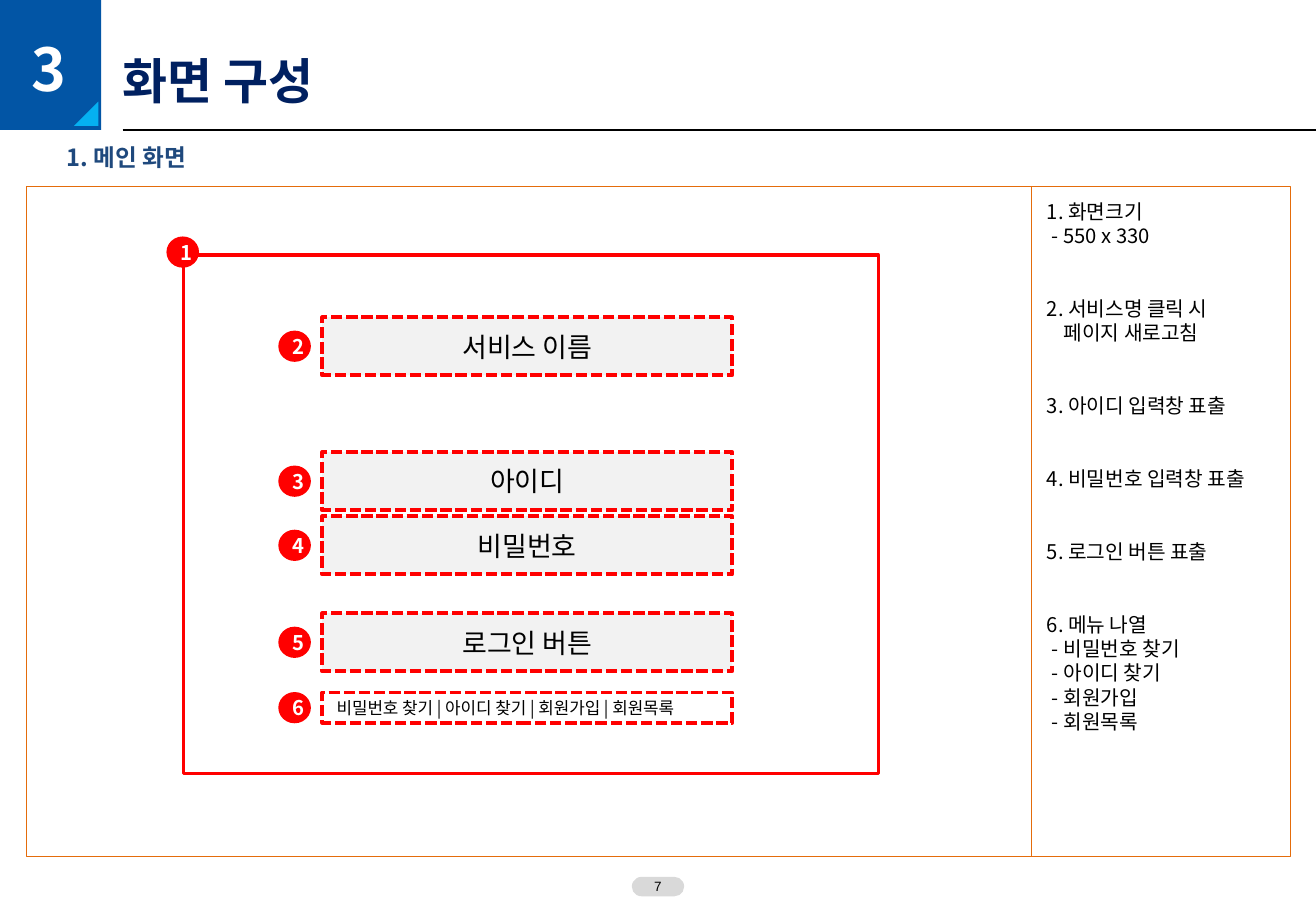
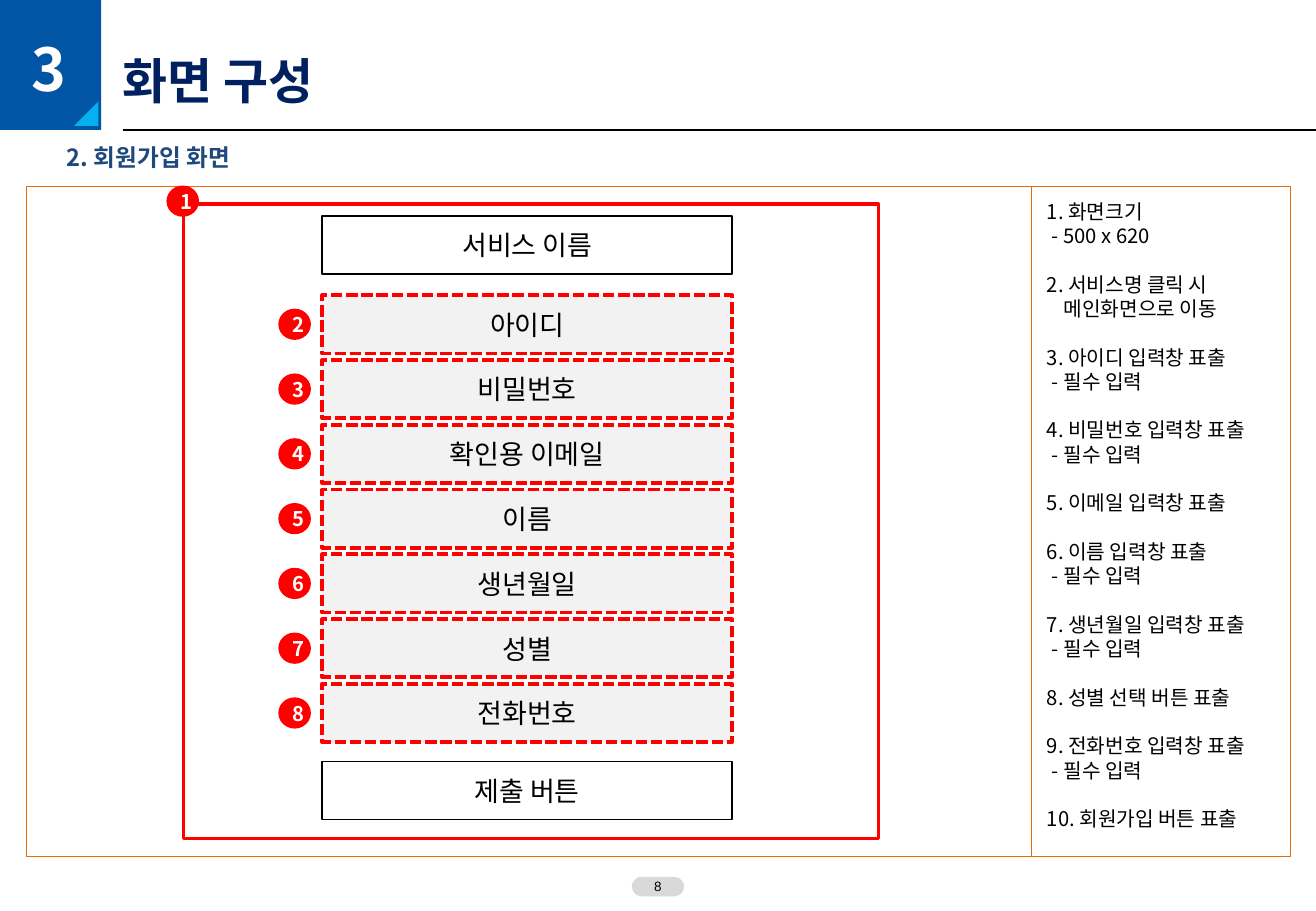
import dataclasses

import lxml.etree
import pptx
import pptx.dml.color
import pptx.enum.dml
import pptx.enum.shapes
import pptx.enum.text
import pptx.oxml.ns
import pptx.util

Pt = pptx.util.Pt
SHAPE = pptx.enum.shapes.MSO_SHAPE
ALIGN = pptx.enum.text.PP_ALIGN
ANCHOR = pptx.enum.text.MSO_ANCHOR


@dataclasses.dataclass(frozen=True)
class Theme:
    latin: str = "Arial"
    korean: str = "Noto Sans CJK KR"
    title: str = "002060"
    heading: str = "1F497D"
    band: str = "0255A5"
    accent: str = "05B0F1"
    panel: str = "E46C0B"
    mark: str = "FF0000"
    field: str = "F2F2F2"
    pill: str = "D9D9D9"
    ink: str = "000000"
    paper: str = "FFFFFF"
    number_size: float = 35
    title_size: float = 29
    field_size: float = 16
    heading_size: float = 14
    note_size: float = 12
    menu_size: float = 10
    page_size: float = 8
    leading: float = 1.2


THEME = Theme()

SLIDE_W, SLIDE_H = 780, 540
BAND_W, BAND_H = 60, 77
TITLE_X = 72.7
PANEL_X, PANEL_Y, PANEL_W, PANEL_H = 15.8, 110.2, 748.8, 397.4
DIVIDER_X = 611.3
FRAME_X, FRAME_W = 108.7, 412
FIELD_X, FIELD_W, FIELD_H = 191, 243, 34.5
BADGE_X, BADGE_W, BADGE_H = 166, 17.3, 16.5
DASH_INDENT, WRAP_INDENT = 3, 10


def rgb(value):
    return pptx.dml.color.RGBColor.from_string(value)


def write(p, text, size, color=THEME.ink, font=THEME.korean, bold=False, align=ALIGN.LEFT):
    p.alignment = align
    p.line_spacing = Pt(round(size * THEME.leading, 1))
    r = p.add_run()
    r.text = text
    r.font.color.rgb = rgb(color)
    for name, value in {"name": font, "size": Pt(size), "bold": bold}.items():
        setattr(r.font, name, value)
    ea = lxml.etree.SubElement(r._r.get_or_add_rPr(), pptx.oxml.ns.qn("a:ea"))
    ea.set("typeface", THEME.korean)


def set_frame(tf, anchor=ANCHOR.MIDDLE, wrap=True, left=0, top=0, right=0):
    values = {
        "word_wrap": wrap,
        "vertical_anchor": anchor,
        "margin_left": Pt(left),
        "margin_top": Pt(top),
        "margin_right": Pt(right),
        "margin_bottom": 0,
    }
    for name, value in values.items():
        setattr(tf, name, value)


def add_box(s, kind, x, y, w, h, fill=None, line=None, weight=1, dash=False):
    sp = s.shapes.add_shape(kind, Pt(x), Pt(y), Pt(w), Pt(h))
    sp.shadow.inherit = False
    if fill:
        sp.fill.solid()
        sp.fill.fore_color.rgb = rgb(fill)
    else:
        sp.fill.background()
    if line:
        sp.line.color.rgb = rgb(line)
        sp.line.width = Pt(weight)
        if dash:
            sp.line.dash_style = pptx.enum.dml.MSO_LINE.SQUARE_DOT
    else:
        sp.line.fill.background()
    set_frame(sp.text_frame)
    return sp


def add_rule(s, x1, y1, x2, y2, color, weight):
    line = s.shapes.add_connector(
        pptx.enum.shapes.MSO_CONNECTOR.STRAIGHT, Pt(x1), Pt(y1), Pt(x2), Pt(y2))
    line.line.color.rgb = rgb(color)
    line.line.width = Pt(weight)
    lxml.etree.SubElement(line._element.spPr, pptx.oxml.ns.qn("a:effectLst"))


def add_text_box(s, x, y, w, h):
    tf = s.shapes.add_textbox(Pt(x), Pt(y), Pt(w), Pt(h)).text_frame
    set_frame(tf, ANCHOR.TOP)
    return tf


def add_badge(s, x, y, number):
    sp = add_box(s, SHAPE.OVAL, x, y, BADGE_W, BADGE_H, THEME.mark, THEME.mark, 2)
    set_frame(sp.text_frame, wrap=False, left=4.8)
    write(sp.text_frame.paragraphs[0], str(number), THEME.note_size, THEME.paper,
          bold=True, align=ALIGN.CENTER)


def add_marked_box(s, y, h, number, fill=None):
    """Dashed box with its numbered badge centred to the left."""
    sp = add_box(s, SHAPE.RECTANGLE, FIELD_X, y, FIELD_W, h, fill, THEME.mark, 2.25, True)
    add_badge(s, BADGE_X, y + (h - BADGE_H) / 2, number)
    return sp


def add_field(s, y, text, number=None):
    """Input field; without a number it is a plain outlined box."""
    if number:
        sp = add_marked_box(s, y, FIELD_H, number, THEME.field)
    else:
        sp = add_box(s, SHAPE.RECTANGLE, FIELD_X, y, FIELD_W, FIELD_H, line=THEME.ink)
    write(sp.text_frame.paragraphs[0], text, THEME.field_size, align=ALIGN.CENTER)


def add_menu(s, y, text, number):
    tf = add_marked_box(s, y, 18, number).text_frame
    set_frame(tf, wrap=False, left=8.5)
    write(tf.paragraphs[0], text, THEME.menu_size)


def add_screen_frame(s, y, h):
    add_box(s, SHAPE.RECTANGLE, FRAME_X, y, FRAME_W, h, line=THEME.mark, weight=2)
    add_badge(s, FRAME_X - 9, y - 10, 1)


def add_notes_column(s, items, gap):
    """Each item is a list of lines; the first one opens the item."""
    tf = add_text_box(s, 620.5, 118, 141, 384)
    p = tf.paragraphs[0]
    for i, lines in enumerate(items):
        for j, text in enumerate(lines):
            if i or j:
                p = tf.add_paragraph()
            if j:
                indent = DASH_INDENT if text.startswith("-") else WRAP_INDENT
                p._p.get_or_add_pPr().set("marL", str(Pt(indent)))
            elif i:
                p.space_before = Pt(gap)
            write(p, text, THEME.note_size)


def add_base(prs, heading, page):
    """Title-only slide with the band, panel, heading and page number."""
    s = prs.slides.add_slide(prs.slide_layouts[5])
    title = s.shapes.title
    box = {"left": TITLE_X, "top": 30, "width": 368, "height": 35}
    for name, value in box.items():
        setattr(title, name, Pt(value))
    set_frame(title.text_frame)
    write(title.text_frame.paragraphs[0], "화면 구성", THEME.title_size, THEME.title,
          THEME.latin, True)

    band = add_box(s, SHAPE.RECTANGLE, 0, 0, BAND_W, BAND_H, THEME.band)
    set_frame(band.text_frame, top=4, right=2)
    write(band.text_frame.paragraphs[0], "3", THEME.number_size, THEME.paper,
          bold=True, align=ALIGN.CENTER)
    corner = add_box(s, SHAPE.RIGHT_TRIANGLE, 44, 60.2, 14.4, 14.4, THEME.accent)
    corner._element.spPr.xfrm.set("flipH", "1")
    add_rule(s, TITLE_X, BAND_H, SLIDE_W, BAND_H, THEME.ink, 0.75)

    pill = add_box(s, SHAPE.ROUNDED_RECTANGLE, 374.5, 519.8, 31, 11.5, THEME.pill)
    pill.adjustments[0] = 0.5
    write(pill.text_frame.paragraphs[0], str(page), THEME.page_size, font=THEME.latin,
          align=ALIGN.CENTER)

    add_box(s, SHAPE.RECTANGLE, PANEL_X, PANEL_Y, PANEL_W, PANEL_H,
            line=THEME.panel, weight=0.25)
    add_rule(s, DIVIDER_X, PANEL_Y, DIVIDER_X, PANEL_Y + PANEL_H, THEME.panel, 0.25)
    tf = add_text_box(s, 39.6, 85, 300, 17)
    write(tf.paragraphs[0], heading, THEME.heading_size, THEME.heading, bold=True)
    return s


def build_main_screen(prs):
    s = add_base(prs, "1. 메인 화면", 7)
    add_screen_frame(s, 151.2, 307.5)
    fields = [(188, "서비스 이름"), (268, "아이디"), (306, "비밀번호"), (363.5, "로그인 버튼")]
    for number, (y, text) in enumerate(fields, 2):
        add_field(s, y, text, number)
    add_menu(s, 410.5, "비밀번호 찾기 | 아이디 찾기 | 회원가입 | 회원목록", 6)
    add_notes_column(s, [
        ["1. 화면크기", "- 550 x 330"],
        ["2. 서비스명 클릭 시", "페이지 새로고침"],
        ["3. 아이디 입력창 표출"],
        ["4. 비밀번호 입력창 표출"],
        ["5. 로그인 버튼 표출"],
        ["6. 메뉴 나열", "- 비밀번호 찾기", "- 아이디 찾기", "- 회원가입", "- 회원목록"],
    ], gap=28.8)


def build_join_screen(prs):
    s = add_base(prs, "2. 회원가입 화면", 8)
    add_screen_frame(s, 121, 376)
    add_field(s, 128, "서비스 이름")
    fields = ["아이디", "비밀번호", "확인용 이메일", "이름", "생년월일", "성별", "전화번호"]
    for i, text in enumerate(fields):
        add_field(s, 175 + i * 38.4, text, i + 2)
    add_field(s, 451.3, "제출 버튼")
    required = "- 필수 입력"
    add_notes_column(s, [
        ["1. 화면크기", "- 500 x 620"],
        ["2. 서비스명 클릭 시", "메인화면으로 이동"],
        ["3. 아이디 입력창 표출", required],
        ["4. 비밀번호 입력창 표출", required],
        ["5. 이메일 입력창 표출"],
        ["6. 이름 입력창 표출", required],
        ["7. 생년월일 입력창 표출", required],
        ["8. 성별 선택 버튼 표출"],
        ["9. 전화번호 입력창 표출", required],
        ["10. 회원가입 버튼 표출"],
    ], gap=14.4)


def main():
    prs = pptx.Presentation()
    prs.slide_width, prs.slide_height = Pt(SLIDE_W), Pt(SLIDE_H)
    build_main_screen(prs)
    build_join_screen(prs)
    prs.save("out.pptx")


if __name__ == "__main__":
    main()
